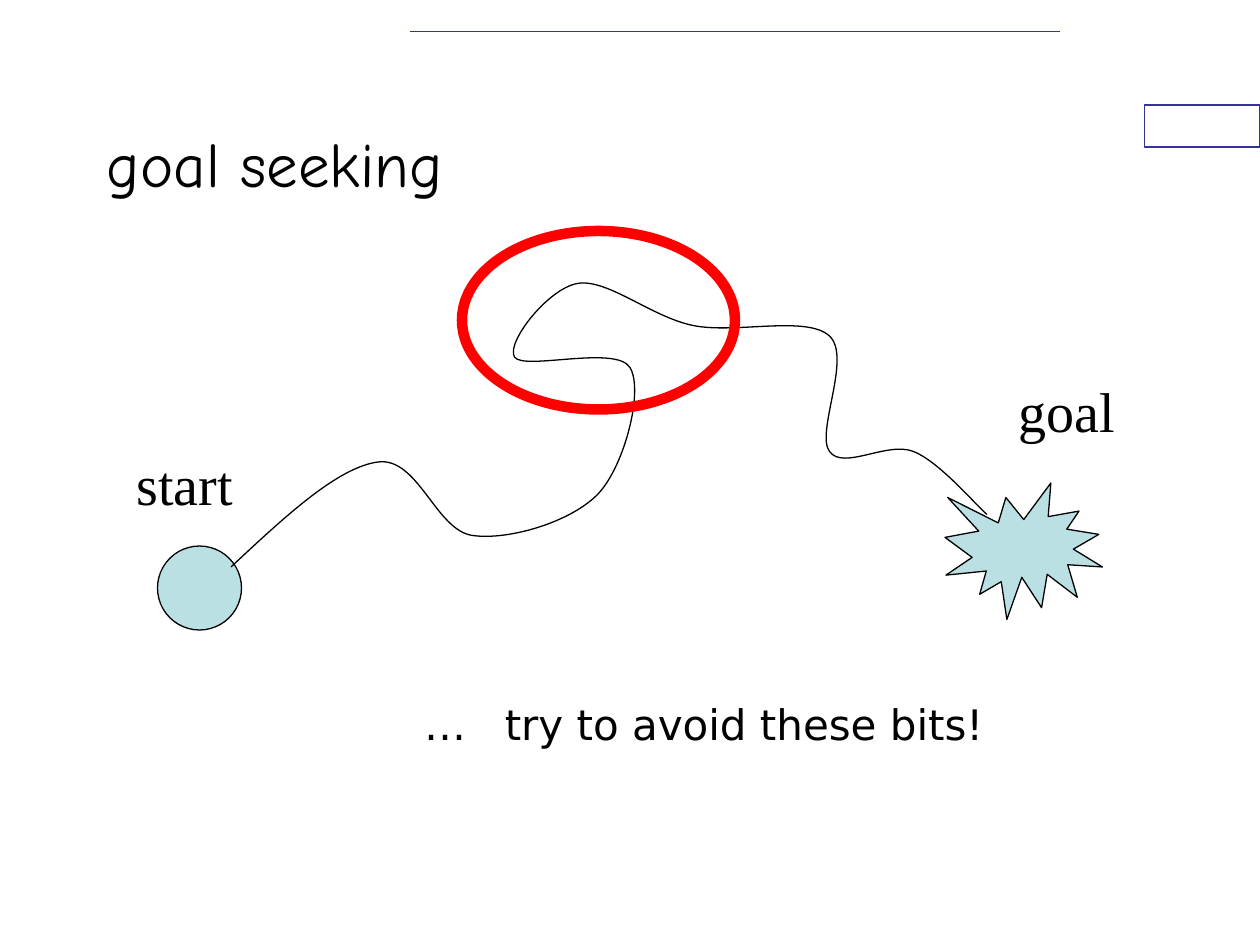
from lxml.etree import SubElement
from pptx import Presentation
from pptx.dml.color import RGBColor
from pptx.enum.shapes import MSO_CONNECTOR, MSO_SHAPE
from pptx.enum.text import MSO_ANCHOR
from pptx.oxml.ns import qn
from pptx.util import Inches, Pt

CELL = Inches(1 / 12)  # the slide is a grid of 120 columns by 90 rows
NAVY, BLACK, RED = "333399", "000000", "FF0000"
AQUA, WHITE = "BBE0E3", "FFFFFF"
SERIF = "Times New Roman"

# Points the route runs through; the first only steers its start
LEAD = (5.5, 72.5)
ROUTE = [(22, 54), (36, 44), (45, 51), (57, 47), (60, 35), (49, 34),
         (55, 27), (66, 31), (79, 32), (79, 43), (87, 43), (94, 49)]


def grid(*cells):
    return [round(cell * CELL) for cell in cells]


def color(code):
    return RGBColor.from_string(code)


def style(shape, fill, line, width):
    shape.shadow.inherit = False
    if fill:
        shape.fill.solid()
        shape.fill.fore_color.rgb = color(fill)
    else:
        shape.fill.background()
    shape.line.color.rgb = color(line)
    shape.line.width = Pt(width)


def add_form(slide, kind, box, fill, line=BLACK, width=0.75):
    style(slide.shapes.add_shape(kind, *grid(*box)), fill, line, width)


def add_rule(slide, start, end):
    rule = slide.shapes.add_connector(
        MSO_CONNECTOR.STRAIGHT, *grid(*start, *end))
    rule.line.color.rgb = color(NAVY)
    rule.line.width = Pt(1)
    SubElement(rule._element.spPr, qn("a:effectLst"))


def add_text(slide, text, box, size, face, wrap=False):
    label = slide.shapes.add_textbox(*grid(*box))
    frame = label.text_frame
    frame.word_wrap = wrap
    frame.text = text
    font = frame.paragraphs[0].font
    font.size, font.name = Pt(size), face
    font.color.rgb = color(BLACK)
    return frame


def add_curve(slide, lead, knots):
    """Draw a smooth curve through the knots (Catmull-Rom as Beziers)."""
    chain = [lead, *knots, knots[-1]]
    points = []
    for a, b, c, d in zip(chain, chain[1:], chain[2:], chain[3:]):
        points.append(grid(*(q + (r - p) / 6 for p, q, r in zip(a, b, c))))
        points.append(grid(*(r - (s - q) / 6 for q, r, s in zip(b, c, d))))
        points.append(grid(*c))
    pen = slide.shapes.build_freeform(*grid(*knots[0]))
    pen.add_line_segments(points, close=False)
    curve = pen.convert_to_shape()
    style(curve, None, BLACK, 0.75)

    # Join each three straight steps into one Bezier step
    route = curve._element.xpath(".//a:path")[0]
    steps = route.findall(qn("a:lnTo"))
    for i in range(0, len(steps), 3):
        bend = SubElement(route, qn("a:cubicBezTo"))
        for step in steps[i:i + 3]:
            bend.append(step[0])
            route.remove(step)


def main():
    deck = Presentation()
    deck.slide_width, deck.slide_height = grid(120, 90)
    slide = deck.slides.add_slide(deck.slide_layouts[6])

    # Page decoration
    add_form(slide, MSO_SHAPE.RECTANGLE, (109, 10, 11, 4), WHITE, NAVY)
    add_rule(slide, (39, 3), (101, 3))

    # Title and remark
    title = add_text(slide, "goal seeking", (9, 8, 90, 15), 36,
                     "Comic Neue", True)
    title.vertical_anchor = MSO_ANCHOR.MIDDLE
    note = add_text(slide, "…\ttry to avoid these bits!",
                    (29, 65.9, 67.2, 6.1), 24, "DejaVu Sans", True)
    note.margin_left, note.margin_right = Inches(0.95), 0
    props = note.paragraphs[0]._p.get_or_add_pPr()
    tabs = SubElement(props, qn("a:tabLst"))
    SubElement(tabs, qn("a:tab"), pos=str(Inches(0.64)), algn="l")
    # Tab stops come before the default run properties
    props.insert(0, tabs)

    # Start and goal
    add_form(slide, MSO_SHAPE.EXPLOSION1, (90, 46, 15, 13), AQUA)
    add_text(slide, "goal", (95.8, 35.3, 11.6, 7.6), 32, SERIF)
    add_text(slide, "start", (11.8, 42.2, 11.6, 7.6), 32, SERIF)
    add_form(slide, MSO_SHAPE.FLOWCHART_CONNECTOR, (15, 52, 8, 8), AQUA)

    # Route and the bit to avoid
    add_curve(slide, LEAD, ROUTE)
    add_form(slide, MSO_SHAPE.OVAL, (44, 22, 26, 17), None, RED, 6)

    deck.save("out.pptx")


if __name__ == "__main__":
    main()
